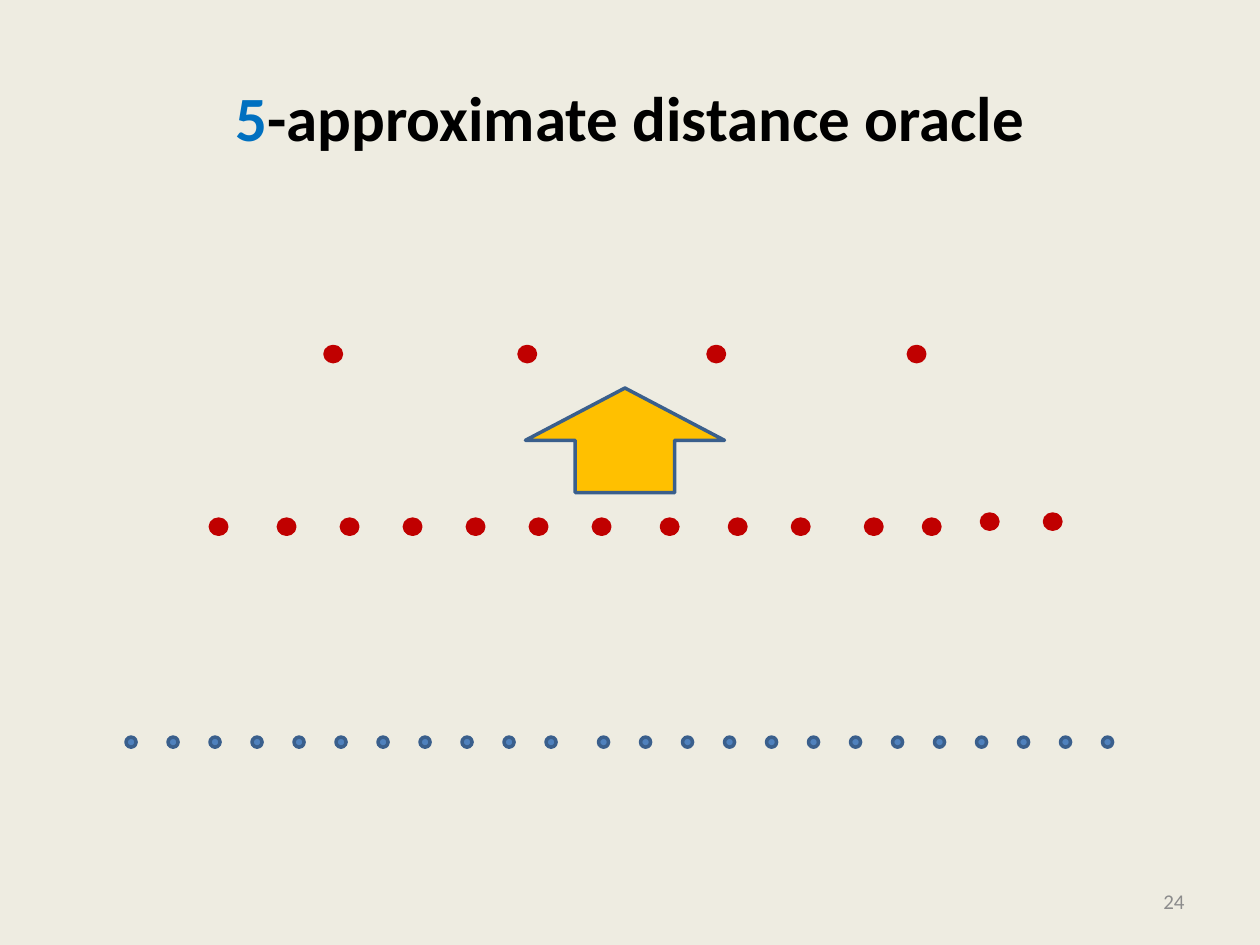
from pptx import Presentation
from pptx import util as u
from pptx.dml import color
from pptx.enum import shapes, text

BLUE, NAVY, RED, GOLD = "4F81BD", "3A5F8C", "C00000", "FFC000"


def rgb(code):
    return color.RGBColor.from_string(code)


def add_shape(tree, kind, box, fill, line):
    shape = tree.add_shape(kind, *map(u.Inches, box))
    shape.shadow.inherit = False
    shape.fill.solid()
    shape.fill.fore_color.rgb = rgb(fill)
    shape.line.color.rgb = rgb(line)
    shape.line.width = u.Pt(2)


def add_dots(slide, spots, wide, high, fill, line):
    group = slide.shapes.add_group_shape()
    for left, top in spots:
        add_shape(group.shapes, shapes.MSO_SHAPE.OVAL,
                  (left, top, wide, high), fill, line)


def add_label(slide, box, runs, size, align, bold=False):
    frame = slide.shapes.add_textbox(*map(u.Inches, box)).text_frame
    frame.word_wrap = True
    frame.vertical_anchor = text.MSO_ANCHOR.MIDDLE
    para = frame.paragraphs[0]
    para.alignment = align
    para.font.name = "Calibri"
    para.font.size = u.Pt(size)
    para.font.bold = bold
    for words, code in runs:
        run = para.add_run()
        run.text = words
        run.font.color.rgb = rgb(code)


def main():
    deck = Presentation()
    deck.slide_width, deck.slide_height = u.Inches(10), u.Inches(7.5)
    slide = deck.slides.add_slide(deck.slide_layouts[6])
    slide.background.fill.solid()
    slide.background.fill.fore_color.rgb = rgb("EEECE1")

    add_label(slide, (0.5, 0.3, 9, 1.25),
              [("5", "0070C0"), ("-approximate distance oracle", "000000")],
              36, text.PP_ALIGN.CENTER, True)
    add_label(slide, (7.17, 6.95, 2.33, 0.4), [("24", "8C8C8C")],
              12, text.PP_ALIGN.RIGHT)

    base = [(start + i / 3, 5.85)
            for start, count in ((1, 11), (4.75, 13)) for i in range(count)]
    add_dots(slide, base, 0.08, 0.08, BLUE, NAVY)

    middle = [(left, 4.12) for left in (1.67, 2.21, 2.71, 3.21, 3.71, 4.21,
                                        4.71, 5.25, 5.79, 6.29, 6.87, 7.33)]
    middle += [(left, 4.08) for left in (7.79, 8.29)]
    upper = [(left, 2.75) for left in (2.58, 4.12, 5.62, 7.21)]
    for row in (middle, upper):
        add_dots(slide, row, 0.13, 0.12, RED, RED)

    add_shape(slide.shapes, shapes.MSO_SHAPE.UP_ARROW,
              (4.17, 3.08, 1.58, 0.83), GOLD, NAVY)
    deck.save("out.pptx")


if __name__ == "__main__":
    main()
